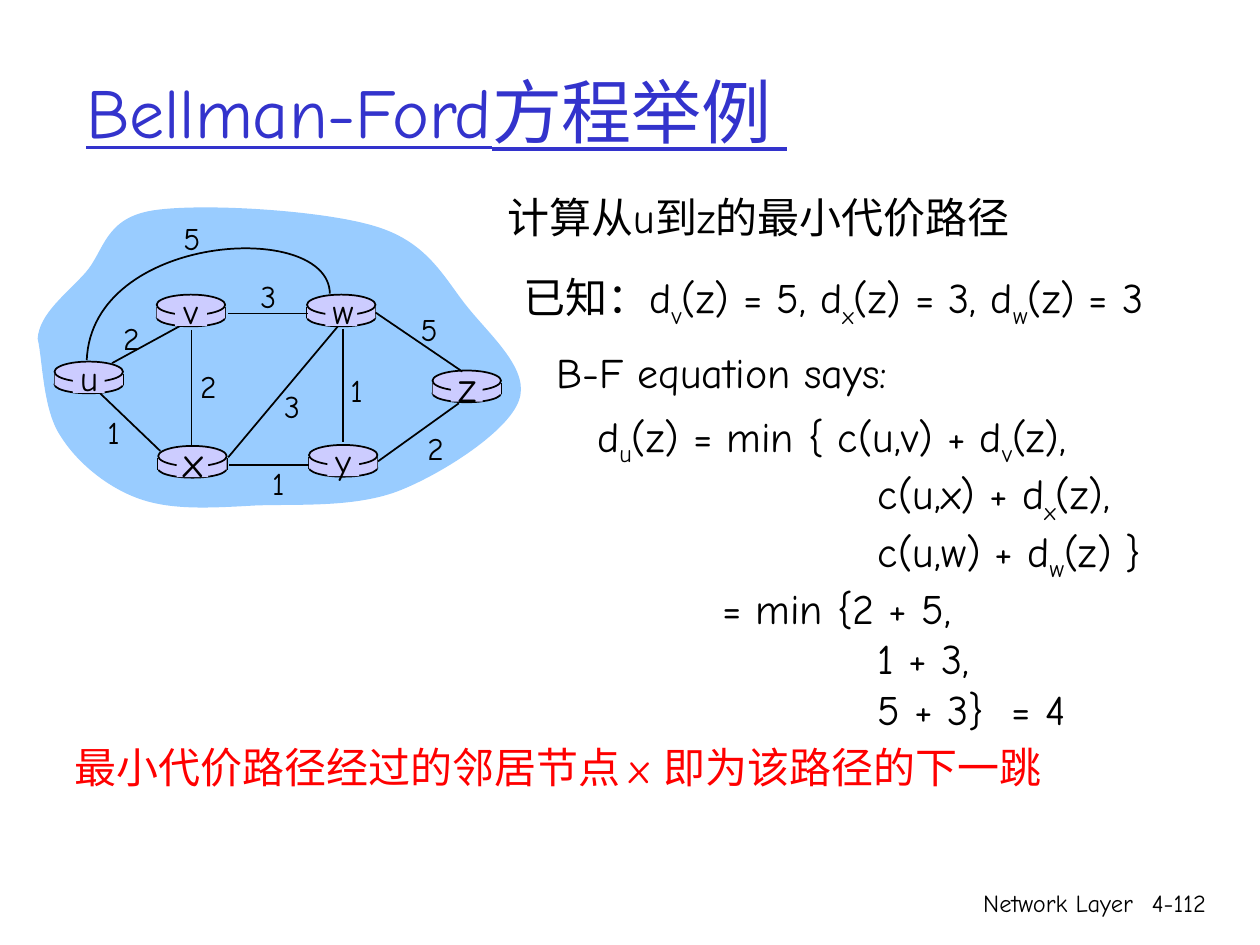
"""Build the Bellman-Ford example slide with its weighted router graph."""
from dataclasses import dataclass

import pptx
import pptx.dml.color
import pptx.enum.shapes
import pptx.enum.text
import pptx.oxml
import pptx.oxml.ns
import pptx.util
from lxml import etree

Cm = pptx.util.Cm
qn = pptx.oxml.ns.qn
SHAPE = pptx.enum.shapes.MSO_SHAPE
ALIGN = pptx.enum.text.PP_ALIGN
ANCHOR = pptx.enum.text.MSO_ANCHOR


@dataclass(frozen=True)
class Theme:
    """Font, colours and type sizes of the slide."""
    font: str = "Comic Neue"
    ink: str = "000000"
    title: str = "3333CC"
    accent: str = "FF0000"
    cloud: str = "99CCFF"
    router: str = "CCCCFF"
    title_size: int = 40
    body_size: int = 24
    node_size: int = 20
    weight_size: int = 18
    footer_size: int = 14


T = Theme()

CLOUD = [
    (0.76, 6.83),
    (0.79, 6.32), (1.35, 5.92), (1.73, 5.49),
    (2.11, 5.05), (2.11, 4.39), (3.1, 4.24),
    (4.09, 4.09), (6.55, 4.24), (7.59, 4.57),
    (8.66, 4.9), (8.97, 5.64), (9.45, 6.22),
    (9.93, 6.81), (10.69, 7.47), (10.46, 8.08),
    (10.24, 8.69), (8.97, 9.52), (8.08, 9.88),
    (7.19, 10.24), (6.02, 10.16), (5.16, 10.19),
    (4.27, 10.24), (3.48, 10.29), (2.82, 10.06),
    (2.16, 9.83), (1.55, 9.32), (1.22, 8.79),
    (0.86, 8.26), (0.86, 7.24), (0.76, 6.83),
]
ARC_UW = [(6.65, 5.92), (6.63, 4.42), (1.85, 4.7), (1.75, 7.26)]

ROUTERS = [
    ("u", 1.1, 7.29, T.node_size),
    ("x", 3.19, 8.99, T.body_size),
    ("v", 3.16, 5.94, T.node_size),
    ("w", 6.19, 5.94, T.node_size),
    ("y", 6.23, 8.97, T.node_size),
    ("z", 8.72, 7.47, T.body_size),
]
EDGES = [
    (2.26, 7.32, 3.76, 6.5),
    (6.91, 6.63, 6.91, 8.92),
    (3.86, 6.65, 3.86, 9.02),
    (4.6, 9.22, 6.81, 6.58),
    (7.62, 9.3, 9.25, 8.13),
    (6.22, 9.37, 4.62, 9.37),
    (3.23, 9.09, 2.01, 7.92),
    (6.2, 6.32, 4.6, 6.32),
    (9.32, 7.49, 7.57, 6.3),
]
WEIGHTS = [
    ("2", 2.65, 6.81), ("1", 7.19, 7.85), ("2", 4.2, 7.77), ("3", 5.89, 8.18),
    ("2", 8.78, 9.02), ("1", 5.61, 9.73), ("1", 2.29, 8.71), ("3", 5.41, 5.97),
    ("5", 8.65, 6.63), ("5", 3.87, 4.8),
]
EQUATION = [
    "d_u(z) = min { c(u,v) + d_v(z),",
    "\t\tc(u,x) + d_x(z),",
    "\t\tc(u,w) + d_w(z) }",
    "\t= min {2 + 5,",
    "\t\t1 + 3,",
    "\t\t5 + 3}\t= 4",
]
EQUATION_TABS = (2.52, 5.66, 8.36)


def rgb(value):
    """Turn a hex string into a colour."""
    return pptx.dml.color.RGBColor.from_string(value)


def add_runs(p, text, size, color):
    """Write text into a paragraph, lowering the letter after each underscore."""
    head, *rest = text.split("_")
    p.text = head
    for part in rest:
        sub = p.add_run()
        sub.text = part[0]
        sub._r.get_or_add_rPr().set("baseline", "-25000")
        p.add_run().text = part[1:]
    for r in p.runs:
        r.font.name, r.font.size = T.font, pptx.util.Pt(size)
        r.font.color.rgb = rgb(color)


def add_tabs(p, stops):
    """Give a paragraph left tab stops."""
    tabs = etree.SubElement(p._p.get_or_add_pPr(), qn("a:tabLst"))
    for stop in stops:
        etree.SubElement(tabs, qn("a:tab"), pos=str(Cm(stop)), algn="l")


def add_text(s, box, lines, size=T.body_size, color=T.ink, align=ALIGN.LEFT, wrap=True, tabs=()):
    """Add a text box holding lines of text."""
    tf = s.shapes.add_textbox(*map(Cm, box)).text_frame
    tf.word_wrap = wrap
    for i, text in enumerate(lines):
        p = tf.add_paragraph() if i else tf.paragraphs[0]
        p.alignment = align
        if tabs:
            add_tabs(p, tabs)
        add_runs(p, text, size, color)
    return tf


def add_label(s, text, cx, cy, size):
    """Add a short label centred on a point."""
    w, h = 0.85, size * 0.05 + 0.1
    add_text(s, (cx - w / 2, cy - h / 2, w, h), [text], size, align=ALIGN.CENTER, wrap=False)


def set_line(sp):
    """Give a shape the thin dark line."""
    sp.line.color.rgb, sp.line.width = rgb(T.ink), pptx.util.Pt(1)


def add_block(s, kind, box, outlined=False):
    """Add a router-coloured shape."""
    sp = s.shapes.add_shape(kind, *map(Cm, box))
    sp.shadow.inherit = False
    sp.fill.solid()
    sp.fill.fore_color.rgb = rgb(T.router)
    if outlined:
        set_line(sp)
    else:
        sp.line.fill.background()


def add_line(s, *ends):
    """Add a thin straight line."""
    sp = s.shapes.add_connector(pptx.enum.shapes.MSO_CONNECTOR.STRAIGHT, *map(Cm, ends))
    set_line(sp)
    etree.SubElement(sp._element.spPr, qn("a:effectLst"))


def add_curve(s, points, closed):
    """Add a chain of cubic curves, filled when closed and outlined when open."""
    fb = s.shapes.build_freeform(*map(Cm, points[0]))
    fb.add_line_segments([tuple(map(Cm, point)) for point in points[1:]], close=closed)
    sp = fb.convert_to_shape()
    sp.shadow.inherit = False
    segments = list(sp._element.iter(qn("a:lnTo")))
    for i in range(0, len(segments), 3):
        curve = etree.Element(qn("a:cubicBezTo"))
        segments[i].addprevious(curve)
        for segment in segments[i:i + 3]:
            curve.append(segment[0])
            segment.getparent().remove(segment)
    if closed:
        sp.fill.solid()
        sp.fill.fore_color.rgb = rgb(T.cloud)
        sp.line.fill.background()
    else:
        sp.fill.background()
        set_line(sp)


def add_router(s, x, y):
    """Add a cylinder-shaped router."""
    w = 1.38
    add_block(s, SHAPE.OVAL, (x, y + 0.28, w, 0.36), True)
    for side in (x, x + w):
        add_line(s, side, y + 0.25, side, y + 0.48)
    add_block(s, SHAPE.RECTANGLE, (x, y + 0.25, w, 0.23))
    add_block(s, SHAPE.OVAL, (x, y, w, 0.41), True)


def add_graph(s):
    """Add the cloud with routers, links and link costs."""
    add_curve(s, CLOUD, True)
    for _, x, y, _ in ROUTERS:
        add_router(s, x, y)
    for edge in EDGES:
        add_line(s, *edge)
    add_curve(s, ARC_UW, False)
    for name, x, y, size in ROUTERS:
        add_block(s, SHAPE.RECTANGLE, (x + 0.37, y + 0.05, 0.64, 0.58))
        add_label(s, name, x + 0.69, y + 0.32, size)
    for cost, cx, cy in WEIGHTS:
        add_label(s, cost, cx, cy, T.weight_size)


def main():
    """Build and save the slide."""
    prs = pptx.Presentation()
    prs.slide_width, prs.slide_height = Cm(25.4), Cm(19.05)
    s = prs.slides.add_slide(prs.slide_layouts[6])
    for text, x, w in (("Network Layer", 15.04, 8.05), ("4-112", 22.38, 2.18)):
        add_text(s, (x, 17.78, w, 1.27), [text], T.footer_size, align=ALIGN.RIGHT)
    tf = add_text(s, (1.49, 0.64, 21.59, 3.18), ["Bellman-Ford方程举例 "], T.title_size, T.title)
    tf.vertical_anchor = ANCHOR.MIDDLE
    tf.paragraphs[0].runs[0].font.underline = True
    add_graph(s)
    add_text(s, (10.3, 5.35, 14.3, 1.42), ["已知：d_v(z) = 5, d_x(z) = 3, d_w(z) = 3"])
    add_text(s, (11.79, 8.15, 11.6, 6.78), EQUATION, tabs=EQUATION_TABS)
    add_text(s, (1.25, 14.82, 20.5, 1.27), ["最小代价路径经过的邻居节点 x 即为该路径的下一跳"], color=T.accent)
    add_text(s, (10.97, 6.87, 7.19, 1.27), ["B-F equation says:"])
    add_text(s, (9.99, 3.73, 11.6, 1.27), ["计算从u到z的最小代价路径"])
    prs.save("out.pptx")


if __name__ == "__main__":
    main()
